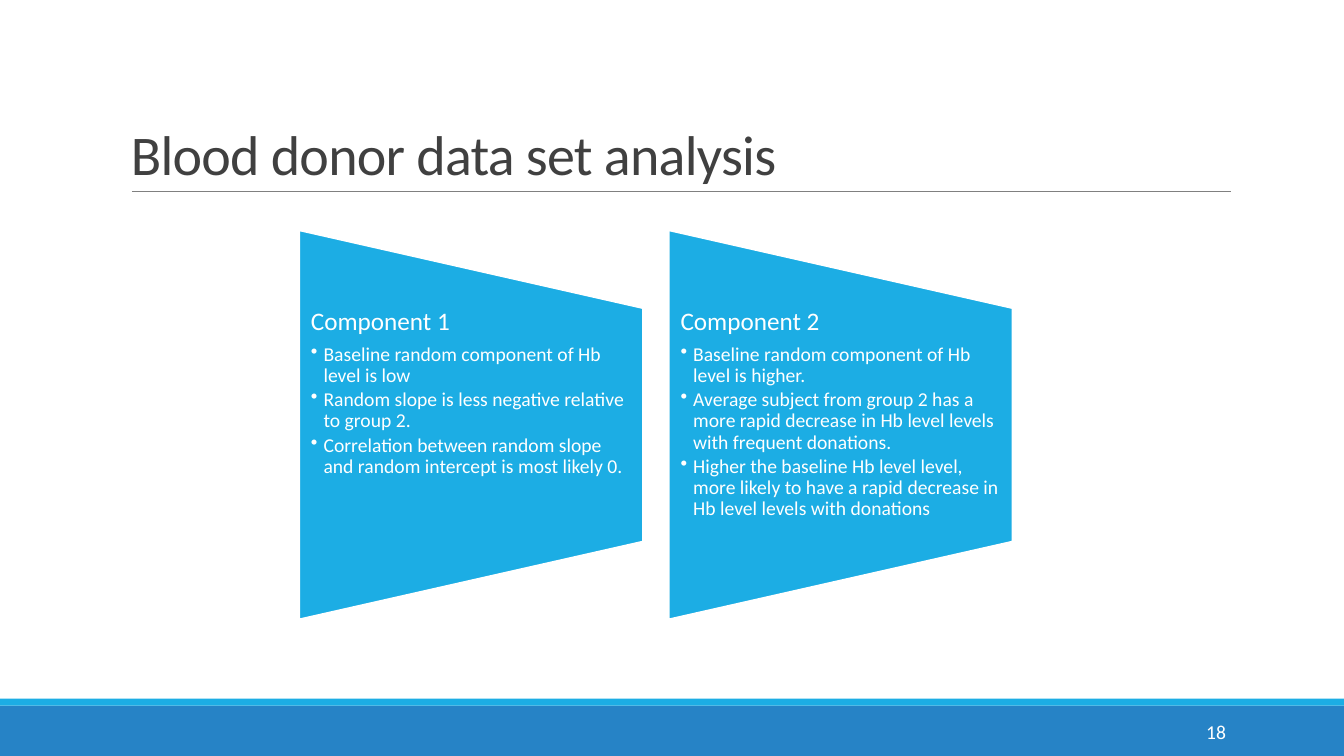
from dataclasses import dataclass

from lxml.etree import SubElement
from pptx import Presentation
from pptx.dml.color import RGBColor
from pptx.enum.shapes import MSO_CONNECTOR, MSO_SHAPE
from pptx.enum.text import MSO_ANCHOR as ANCHOR, PP_ALIGN as ALIGN
from pptx.oxml.ns import qn
from pptx.util import Pt

FONT = "Calibri"
WHITE, SKY, BLUE = "FFFFFF", "1CADE4", "2683C6"
GREY, DARK = "808080", "404040"
SLIDE_W, SLIDE_H = 960, 540


@dataclass
class Box:
    left: float
    top: float
    width: float
    height: float

    def lengths(self) -> tuple:
        return Pt(self.left), Pt(self.top), Pt(self.width), Pt(self.height)


@dataclass
class Component:
    heading: str
    findings: list[str]


COMPONENTS = [
    Component("Component 1", [
        "Baseline random component of Hb level is low",
        "Random slope is less negative relative to group 2.",
        "Correlation between random slope and random intercept is most likely 0.",
    ]),
    Component("Component 2", [
        "Baseline random component of Hb level is higher.",
        "Average subject from group 2 has a more rapid decrease in Hb level levels "
        "with frequent donations.",
        "Higher the baseline Hb level level, more likely to have a rapid decrease in "
        "Hb level levels with donations",
    ]),
]


def rgb(color: str) -> RGBColor:
    return RGBColor.from_string(color)


def add_filled(slide, kind: MSO_SHAPE, box: Box, fill: str):
    sp = slide.shapes.add_shape(kind, *box.lengths())
    sp.shadow.inherit = False
    sp.fill.solid()
    sp.fill.fore_color.rgb = rgb(fill)
    sp.line.fill.background()
    return sp


def add_text_frame(slide, box: Box, anchor: ANCHOR, insets=(7.2, 3.6, 7.2, 3.6)):
    tf = slide.shapes.add_textbox(*box.lengths()).text_frame
    tf.word_wrap = True
    tf.vertical_anchor = anchor
    tf.margin_left, tf.margin_top, tf.margin_right, tf.margin_bottom = map(Pt, insets)
    return tf


def add_run(p, text: str, size: float, color: str):
    r = p.add_run()
    r.text = text
    r.font.name = FONT
    r.font.size = Pt(size)
    r.font.color.rgb = rgb(color)
    return r


def add_bullet(p, indent: float) -> None:
    pPr = p._p.get_or_add_pPr()
    pPr.set("marL", str(Pt(indent)))
    pPr.set("indent", str(-Pt(indent)))
    SubElement(pPr, qn("a:buChar")).set("char", "•")


def add_component(slide, component: Component, left: float) -> None:
    # Trapezoid, turned so that its wide side faces left
    sp = add_filled(slide, MSO_SHAPE.FLOWCHART_MANUAL_OPERATION,
                    Box(left, 180.7, 277.9, 245.5), SKY)
    sp.rotation = 270
    sp.line.color.rgb = rgb(WHITE)
    sp.line.width = Pt(1.25)

    # Heading and bulleted findings
    tf = add_text_frame(slide, Box(left + 16, 220.3, 245.5, 167), ANCHOR.TOP,
                        (8.6, 0, 9.2, 0))
    p = tf.paragraphs[0]
    p.line_spacing = 0.9
    p.space_after = Pt(6.3)
    add_run(p, component.heading, 18, WHITE)
    for finding in component.findings:
        p = tf.add_paragraph()
        p.level = 1
        p.line_spacing = 0.9
        p.space_after = Pt(2.1)
        add_bullet(p, 9)
        add_run(p, finding, 14, WHITE)


def main() -> None:
    prs = Presentation()
    prs.slide_width, prs.slide_height = Pt(SLIDE_W), Pt(SLIDE_H)
    slide = prs.slides.add_slide(prs.slide_layouts[6])

    # Footer bands
    add_filled(slide, MSO_SHAPE.RECTANGLE, Box(0, 504, SLIDE_W, 36), BLUE)
    add_filled(slide, MSO_SHAPE.RECTANGLE, Box(0, 499, SLIDE_W, 5), SKY)

    # Rule under the title
    rule = slide.shapes.add_connector(MSO_CONNECTOR.STRAIGHT,
                                      Pt(94.3), Pt(136.8), Pt(879), Pt(136.8))
    rule.line.color.rgb = rgb(GREY)
    rule.line.width = Pt(0.5)
    SubElement(rule._element.spPr, qn("a:effectLst"))

    # Title
    p = add_text_frame(slide, Box(86.4, 22.6, 792, 114.2), ANCHOR.BOTTOM).paragraphs[0]
    p.line_spacing = 0.85
    r = add_run(p, "Blood donor data set analysis", 40, DARK)
    r.font._element.set("spc", "-50")

    # Slide number
    p = add_text_frame(slide, Box(779.8, 508.5, 103, 28.8), ANCHOR.MIDDLE).paragraphs[0]
    p.alignment = ALIGN.RIGHT
    add_run(p, "18", 14, WHITE)

    # Components side by side
    for i, component in enumerate(COMPONENTS):
        add_component(slide, component, 197.5 + i * 264)

    prs.save("out.pptx")


if __name__ == "__main__":
    main()
